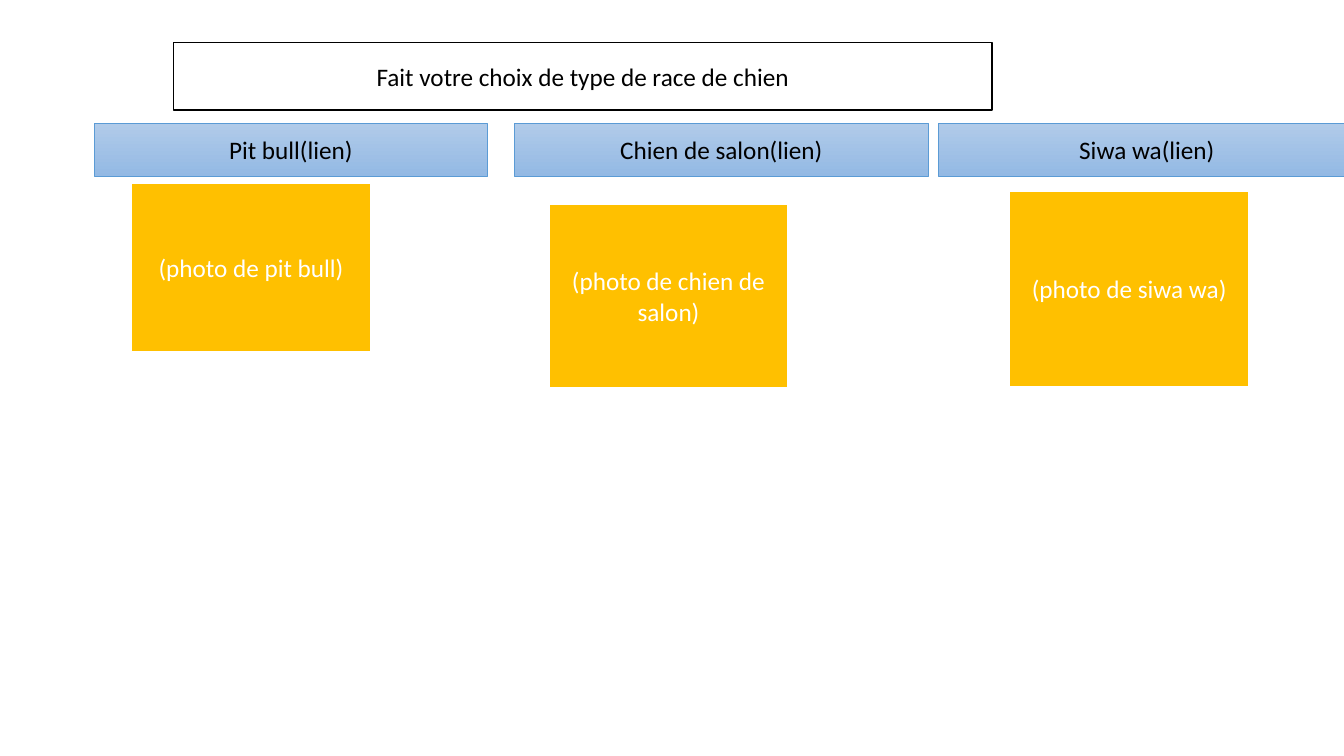
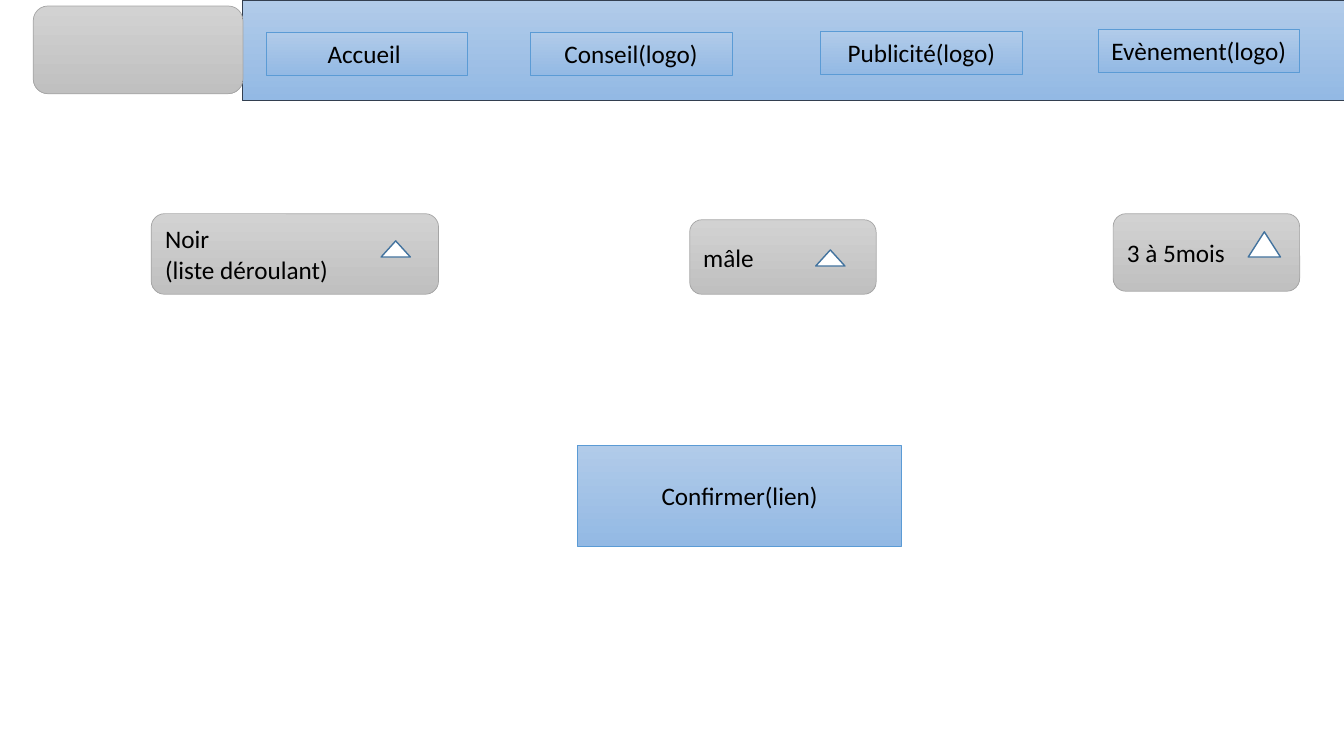
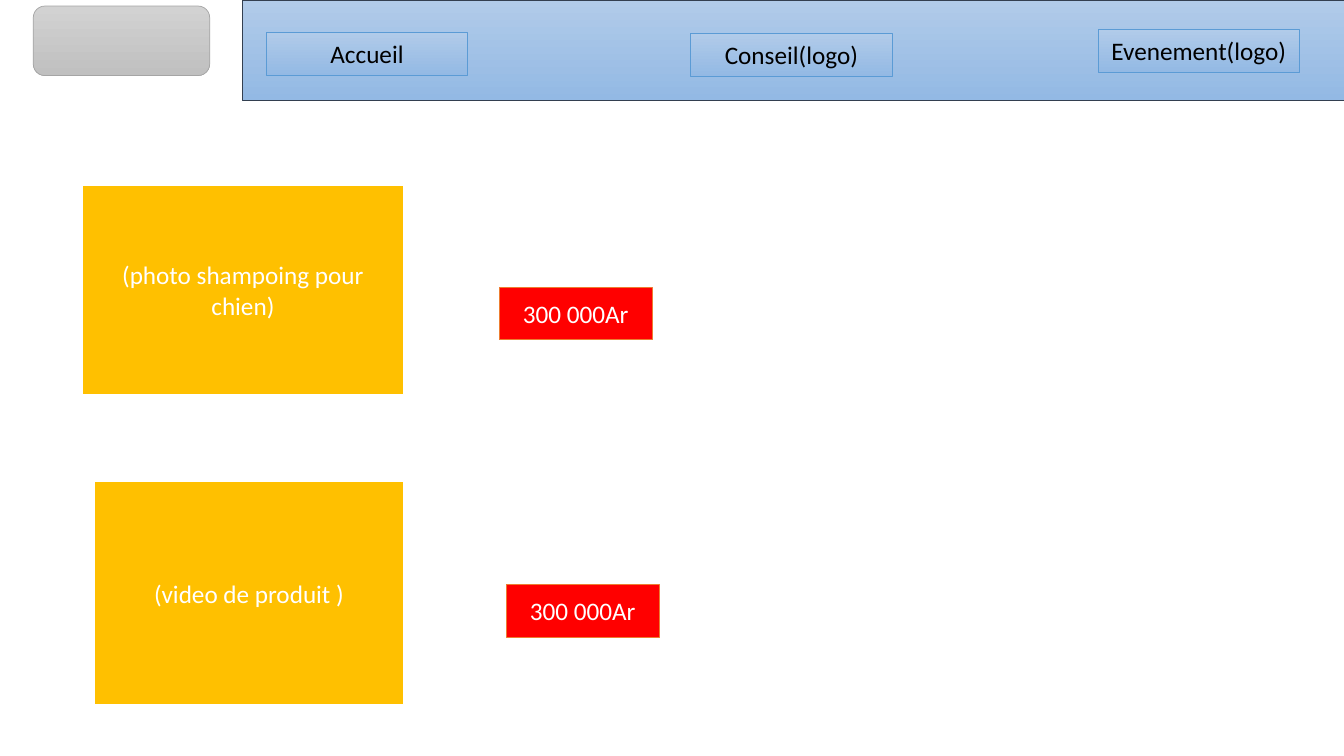
"""Build three mock-up pages of a dog adoption site."""
from dataclasses import dataclass, replace
from typing import NamedTuple

from pptx import Presentation
from pptx.dml.color import RGBColor
from pptx.enum.shapes import MSO_SHAPE
from pptx.enum.text import MSO_ANCHOR, PP_ALIGN
from pptx.slide import Slide
from pptx.util import Inches, Pt

RECTANGLE = MSO_SHAPE.RECTANGLE
ROUNDED = MSO_SHAPE.ROUNDED_RECTANGLE
PROCESS = MSO_SHAPE.FLOWCHART_PROCESS
TRIANGLE = MSO_SHAPE.ISOSCELES_TRIANGLE
LEFT, CENTER = PP_ALIGN.LEFT, PP_ALIGN.CENTER
MIDDLE = MSO_ANCHOR.MIDDLE

COLORS = {
    "white": "FFFFFF",
    "black": "000000",
    "amber": "FFC000",
    "red": "FF0000",
    "orange": "ED7D31",
    "blue_top": "B1CBE9",
    "blue_bottom": "93B9E4",
    "blue_line": "5B9BD5",
    "navy": "333F50",
    "steel": "43739E",
    "gray_top": "D2D2D2",
    "gray_bottom": "C0C0C0",
    "gray_line": "A5A5A5",
}
FONT = {"name": "Calibri", "size": Pt(18)}


@dataclass(frozen=True)
class Style:
    """Look of a box; two fill colours make a vertical gradient."""
    fill: tuple[str, ...]
    line: str
    weight: float = 0.5
    ink: str = "black"
    shape: MSO_SHAPE = RECTANGLE
    align: PP_ALIGN = CENTER


class Area(NamedTuple):
    """Position and size in inches."""
    left: float
    top: float
    width: float
    height: float


class Item(NamedTuple):
    """Box on a page, with or without a label."""
    area: Area
    style: Style
    text: str = ""


BUTTON = Style(("blue_top", "blue_bottom"), "blue_line")
BREED = replace(BUTTON, shape=PROCESS)
BAND = replace(BUTTON, line="navy")
MEDIA = Style(("amber",), "white", 1.5, "white")
PHOTO = replace(MEDIA, shape=PROCESS)
PRICE = Style(("red",), "orange", ink="white")
TITLE = Style(("white",), "black", 1, shape=PROCESS)
DROPDOWN = Style(("gray_top", "gray_bottom"), "gray_line", shape=ROUNDED, align=LEFT)
ARROW = Style(("white",), "steel", 1, shape=TRIANGLE)


def rgb(name: str) -> RGBColor:
    """Look up a named colour."""
    return RGBColor.from_string(COLORS[name])


def add_box(page: Slide, item: Item) -> None:
    """Draw a styled box with one paragraph for each line of text."""
    style = item.style
    box = page.shapes.add_shape(style.shape, *map(Inches, item.area))
    box.shadow.inherit = False
    box.line.color.rgb = rgb(style.line)
    box.line.width = Pt(style.weight)
    if len(style.fill) == 1:
        box.fill.solid()
        box.fill.fore_color.rgb = rgb(style.fill[0])
    else:
        box.fill.gradient()
        box.fill.gradient_angle = 270
        for stop, name in zip(box.fill.gradient_stops, style.fill):
            stop.color.rgb = rgb(name)
    frame = box.text_frame
    frame.word_wrap = True
    frame.vertical_anchor = MIDDLE
    for index, line in enumerate(item.text.splitlines()):
        para = frame.add_paragraph() if index else frame.paragraphs[0]
        para.alignment = style.align
        span = para.add_run()
        span.text = line
        for name, value in FONT.items():
            setattr(span.font, name, value)
        span.font.color.rgb = rgb(style.ink)


def add_items(page: Slide, items: list[Item]) -> None:
    """Draw boxes from back to front."""
    for item in items:
        add_box(page, item)


def add_header(page: Slide, badge: Area, links: list[tuple[float, float, str]]) -> None:
    """Draw the navigation band, its links and a plain site badge."""
    add_box(page, Item(Area(2.4, 0, 10.93, 1), BAND))
    add_items(page, [Item(Area(left, top, 2, 0.43), BUTTON, text) for left, top, text in links])
    add_box(page, Item(badge, DROPDOWN))


def build_breeds(page: Slide) -> None:
    """Let the visitor choose a breed."""
    add_box(page, Item(Area(1.72, 0.42, 8.12, 0.67), TITLE,
                       "Fait votre choix de type de race de chien"))
    breeds = [
        (0.94, 3.89, "Pit bull", Area(1.3, 1.82, 2.38, 1.67)),
        (5.1, 4.11, "Chien de salon", Area(5.44, 2.02, 2.38, 1.83)),
        (9.31, 4.13, "Siwa wa", Area(10.01, 1.89, 2.38, 1.95)),
    ]
    for left, width, breed, photo in breeds:
        add_items(page, [
            Item(photo, PHOTO, f"(photo de {breed.lower()})"),
            Item(Area(left, 1.22, width, 0.53), BREED, f"{breed}(lien)"),
        ])


def build_filters(page: Slide) -> None:
    """Let the visitor choose colour, sex and age."""
    add_header(page, Area(0.33, 0.06, 2.08, 0.87), [
        (2.64, 0.32, "Accueil "),
        (5.26, 0.32, "Conseil(logo)"),
        (8.14, 0.31, "Publicité(logo)"),
        (10.89, 0.29, "Evènement(logo)"),
    ])
    filters = [
        (Area(1.5, 2.12, 2.85, 0.8), "Noir\n(liste déroulant)", Area(3.78, 2.39, 0.29, 0.16)),
        (Area(6.84, 2.18, 1.85, 0.74), "mâle", Area(8.09, 2.48, 0.29, 0.16)),
        (Area(11.04, 2.12, 1.85, 0.77), "3 à 5mois", Area(12.38, 2.3, 0.32, 0.25)),
    ]
    for area, text, arrow in filters:
        add_items(page, [Item(area, DROPDOWN, text), Item(arrow, ARROW)])
    add_box(page, Item(Area(5.73, 4.42, 3.21, 1), BUTTON, "Confirmer(lien)"))


def build_products(page: Slide) -> None:
    """Show products with their prices."""
    add_header(page, Area(0.33, 0.06, 1.75, 0.69), [
        (2.64, 0.32, "Accueil"),
        (6.85, 0.33, "Conseil(logo)"),
        (10.89, 0.29, "Evenement(logo)"),
    ])
    add_items(page, [
        Item(Area(0.81, 1.83, 3.2, 2.09), PHOTO, "(photo shampoing pour chien)"),
        Item(Area(0.93, 4.77, 3.08, 2.23), MEDIA, "(video de produit )"),
    ])
    for left, top in [(4.95, 2.85), (5.02, 5.8)]:
        add_box(page, Item(Area(left, top, 1.52, 0.52), PRICE, "300 000Ar"))


def main() -> None:
    """Build and save the deck."""
    deck = Presentation()
    deck.slide_width, deck.slide_height = Inches(13.33), Inches(7.5)
    blank = deck.slide_layouts[6]
    for build in (build_breeds, build_filters, build_products):
        build(deck.slides.add_slide(blank))
    deck.save("out.pptx")


if __name__ == "__main__":
    main()
